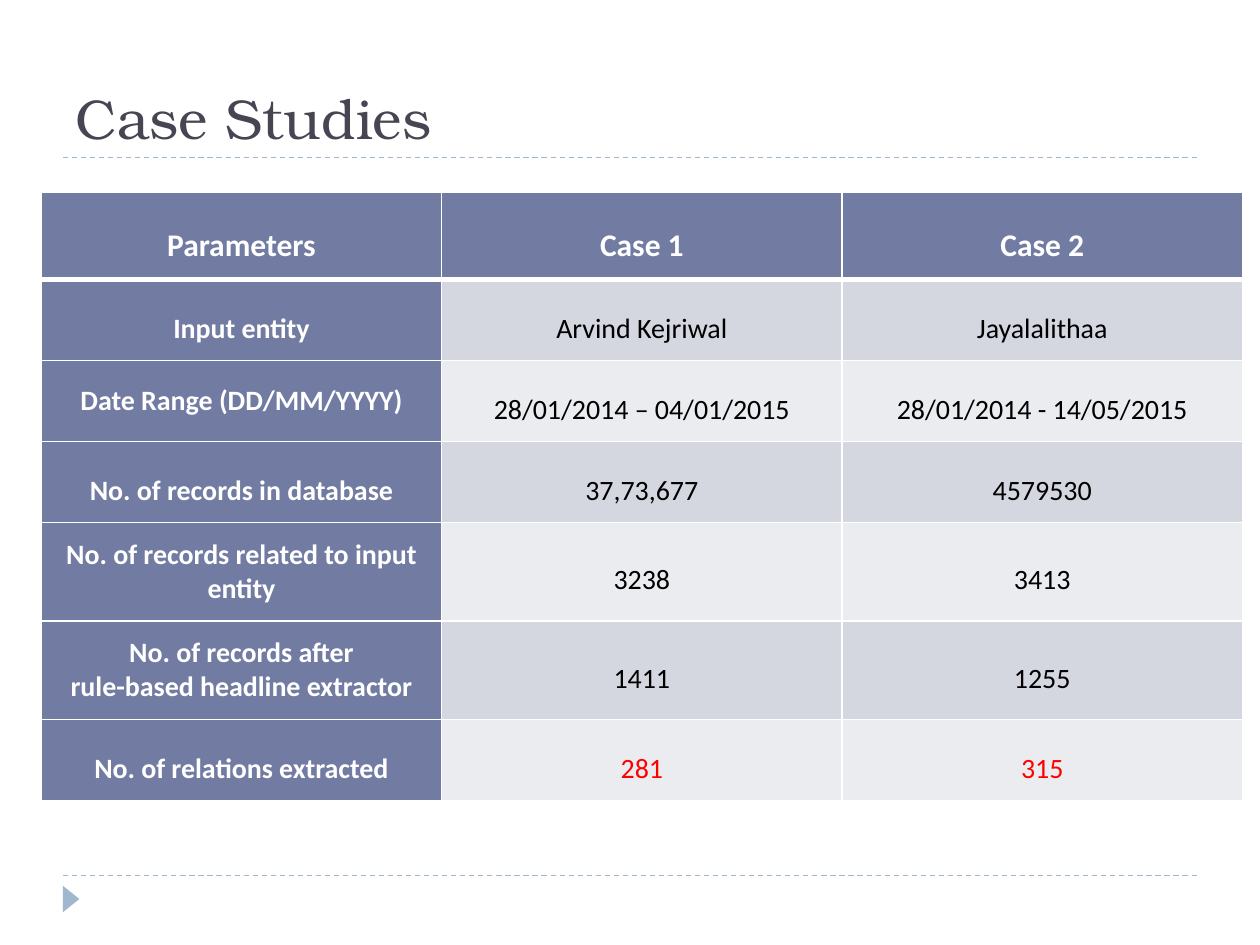
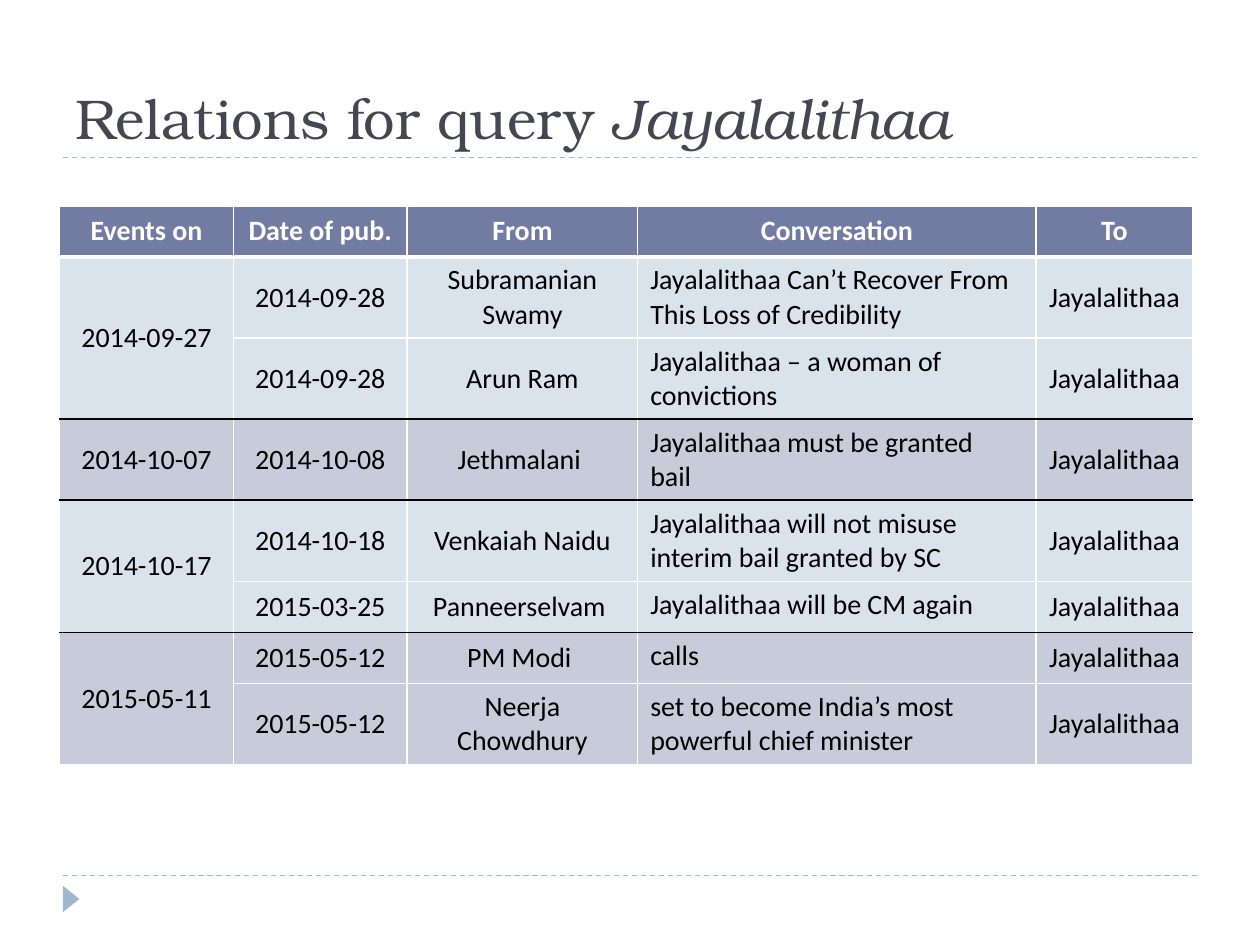
import pptx
import pptx.dml.color
import pptx.enum.dml
import pptx.enum.shapes
import pptx.enum.text
import pptx.oxml
import pptx.util
from lxml import etree

Pt = pptx.util.Pt
PP_ALIGN = pptx.enum.text.PP_ALIGN
MSO_ANCHOR = pptx.enum.text.MSO_ANCHOR
DRAWING_NS = "http://schemas.openxmlformats.org/drawingml/2006/main"

WHITE, BLACK, RED = "FFFFFF", "000000", "FF0000"
INK, SLATE, SKY = "464653", "727CA3", "9FB8CD"
BANDS = ["D5D7E0", "EBECF0"]
GROUP_FILLS = ["D9E3EB", "C7CBDA"]
THIN, THICK, DIVIDER = (WHITE, 1), (WHITE, 3), (BLACK, 1)


def set_colour(color_format, value):
    color_format.rgb = pptx.dml.color.RGBColor.from_string(value)


def style_cell(cell, lines, size, colour, bold, fill, top, bottom, alignment=PP_ALIGN.CENTER):
    """Border and fill a cell, then write its lines, split by line breaks."""
    properties = cell._tc.get_or_add_tcPr()
    for side, (border_colour, width) in zip("LRTB", (THIN, THIN, top, bottom)):
        properties.append(pptx.oxml.parse_xml(
            f'<a:ln{side} xmlns:a="{DRAWING_NS}" w="{Pt(width)}"><a:solidFill>'
            f'<a:srgbClr val="{border_colour}"/></a:solidFill></a:ln{side}>'))
    cell.fill.solid()
    set_colour(cell.fill.fore_color, fill)
    cell.vertical_anchor = MSO_ANCHOR.MIDDLE
    paragraph = cell.text_frame.paragraphs[0]
    paragraph.alignment = alignment
    for index, line in enumerate(lines):
        if index:
            paragraph.add_line_break()
        run = paragraph.add_run()
        run.text = line
        run.font.name = "Calibri"
        run.font.size = Pt(size)
        run.font.bold = bold
        set_colour(run.font.color, colour)


presentation = pptx.Presentation()
presentation.slide_width = Pt(720)
presentation.slide_height = Pt(540)

# Title, dashed rules and corner marker on every slide
titles = [
    [("Case Studies", False)],
    [("Relations for query ", False), ("Jayalalithaa", True)],
]
slides = []
for title_runs in titles:
    slide = presentation.slides.add_slide(presentation.slide_layouts[5])
    slides.append(slide)

    title = slide.shapes.title
    title.left, title.top, title.width, title.height = Pt(36), Pt(12), Pt(648), Pt(78)
    title.text_frame.auto_size = pptx.enum.text.MSO_AUTO_SIZE.NONE
    title.text_frame.vertical_anchor = MSO_ANCHOR.BOTTOM
    paragraph = title.text_frame.paragraphs[0]
    paragraph.alignment = PP_ALIGN.LEFT
    for text, italic in title_runs:
        run = paragraph.add_run()
        run.text = text
        run.font.name = "TeX Gyre Bonum"
        run.font.size = Pt(32)
        run.font.italic = italic
        set_colour(run.font.color, INK)

    for rule_top in (90, 500.4):
        rule = slide.shapes.add_connector(
            pptx.enum.shapes.MSO_CONNECTOR.STRAIGHT, Pt(36), Pt(rule_top), Pt(684), Pt(rule_top))
        set_colour(rule.line.color, SKY)
        rule.line.width = Pt(0.75)
        rule.line.dash_style = pptx.enum.dml.MSO_LINE.DASH
        etree.SubElement(rule._element.spPr, f"{{{DRAWING_NS}}}effectLst")

    marker = slide.shapes.add_shape(
        pptx.enum.shapes.MSO_SHAPE.ISOSCELES_TRIANGLE, Pt(33.1), Pt(509), Pt(15.1), Pt(9.4))
    marker.rotation = 90
    marker.shadow.inherit = False
    marker.fill.solid()
    set_colour(marker.fill.fore_color, SKY)
    marker.line.fill.background()

# Case studies
case_rows = [
    (49.7, ["Parameters"], "Case 1", "Case 2"),
    (46.3, ["Input entity"], "Arvind Kejriwal", "Jayalalithaa"),
    (46.3, ["Date Range (DD/MM/YYYY)"], "28/01/2014 – 04/01/2015", "28/01/2014 - 14/05/2015"),
    (46.3, ["No. of records in database"], "37,73,677", "4579530"),
    (56.3, ["No. of records related to input entity"], "3238", "3413"),
    (56.3, ["No. of records after", "rule-based headline extractor"], "1411", "1255"),
    (46.3, ["No. of relations extracted"], "281", "315"),
]
single_spaced_rows = (2, 4, 5)
case_table = slides[0].shapes.add_table(
    len(case_rows), 3, Pt(23.6), Pt(109.7), Pt(686.4), Pt(347.5)).table
case_table.horz_banding = False
for column in case_table.columns:
    column.width = Pt(228.8)
for row_index, (height, label, *values) in enumerate(case_rows):
    case_table.rows[row_index].height = Pt(height)
    for column_index, lines in enumerate([label] + [[value] for value in values]):
        cell = case_table.cell(row_index, column_index)
        cell.margin_left = cell.margin_right = Pt(5)
        cell.margin_top = cell.margin_bottom = Pt(8.5)
        heading = row_index == 0 or column_index == 0
        if heading:
            colour, fill = WHITE, SLATE
        else:
            colour = RED if row_index == len(case_rows) - 1 else BLACK
            fill = BANDS[(row_index - 1) % 2]
        style_cell(cell, lines, 16 if row_index else 18, colour, heading, fill,
                   top=THICK if row_index == 1 else THIN,
                   bottom=THIN if row_index else THICK)
        if column_index or row_index not in single_spaced_rows:
            cell.text_frame.paragraphs[0].line_spacing = 1.5

# Relations, grouped by event date
headings = ["Events on", "Date of pub.", "From", "Conversation", "To"]
event_groups = [
    ("2014-09-27", [
        (46.3, "2014-09-28", "Subramanian Swamy",
         ["Jayalalithaa Can’t Recover From This Loss of Credibility"]),
        (46.3, "2014-09-28", "Arun Ram", ["Jayalalithaa – a woman of convictions"]),
    ]),
    ("2014-10-07", [
        (46.3, "2014-10-08", "Jethmalani ", ["Jayalalithaa must be granted", "bail"]),
    ]),
    ("2014-10-17", [
        (46.3, "2014-10-18", "Venkaiah Naidu",
         ["Jayalalithaa will not misuse interim bail granted by SC"]),
        (29.2, "2015-03-25", "Panneerselvam ", ["Jayalalithaa will be CM again"]),
    ]),
    ("2015-05-11", [
        (29.2, "2015-05-12", "PM Modi ", ["calls"]),
        (46.3, "2015-05-12", "Neerja Chowdhury",
         ["set to become India’s most powerful chief minister"]),
    ]),
]
row_count = 1 + sum(len(relations) for _, relations in event_groups)
relation_table = slides[1].shapes.add_table(
    row_count, len(headings), Pt(34.1), Pt(117.6), Pt(647.5), Pt(319)).table
relation_table.horz_banding = False
for column, width in zip(relation_table.columns, (99.3, 99.3, 131.7, 227.7, 89.5)):
    column.width = Pt(width)
relation_table.rows[0].height = Pt(29.2)
for column_index, heading in enumerate(headings):
    style_cell(relation_table.cell(0, column_index), [heading], 16, WHITE, True, SLATE, THIN, THICK)

row_index = 1
for group_index, (event_date, relations) in enumerate(event_groups):
    first_row, last_row = row_index, row_index + len(relations) - 1
    group_top = DIVIDER if group_index else THICK
    group_bottom = DIVIDER if group_index < len(event_groups) - 1 else THIN
    for height, published, speaker, conversation in relations:
        relation_table.rows[row_index].height = Pt(height)
        event_lines = [event_date] if row_index == first_row else []
        row_lines = [event_lines, [published], [speaker], conversation, ["Jayalalithaa"]]
        for column_index, lines in enumerate(row_lines):
            cell = relation_table.cell(row_index, column_index)
            is_conversation = headings[column_index] == "Conversation"
            style_cell(cell, lines, 16, BLACK, False, GROUP_FILLS[group_index % 2],
                       top=group_top if row_index == first_row else THIN,
                       bottom=group_bottom if row_index == last_row else THIN,
                       alignment=PP_ALIGN.LEFT if is_conversation else PP_ALIGN.CENTER)
            if is_conversation:
                cell.vertical_anchor = MSO_ANCHOR.TOP
        row_index += 1
    if last_row > first_row:
        event_cell = relation_table.cell(first_row, 0)
        event_cell.merge(relation_table.cell(last_row, 0))

presentation.save("out.pptx")
